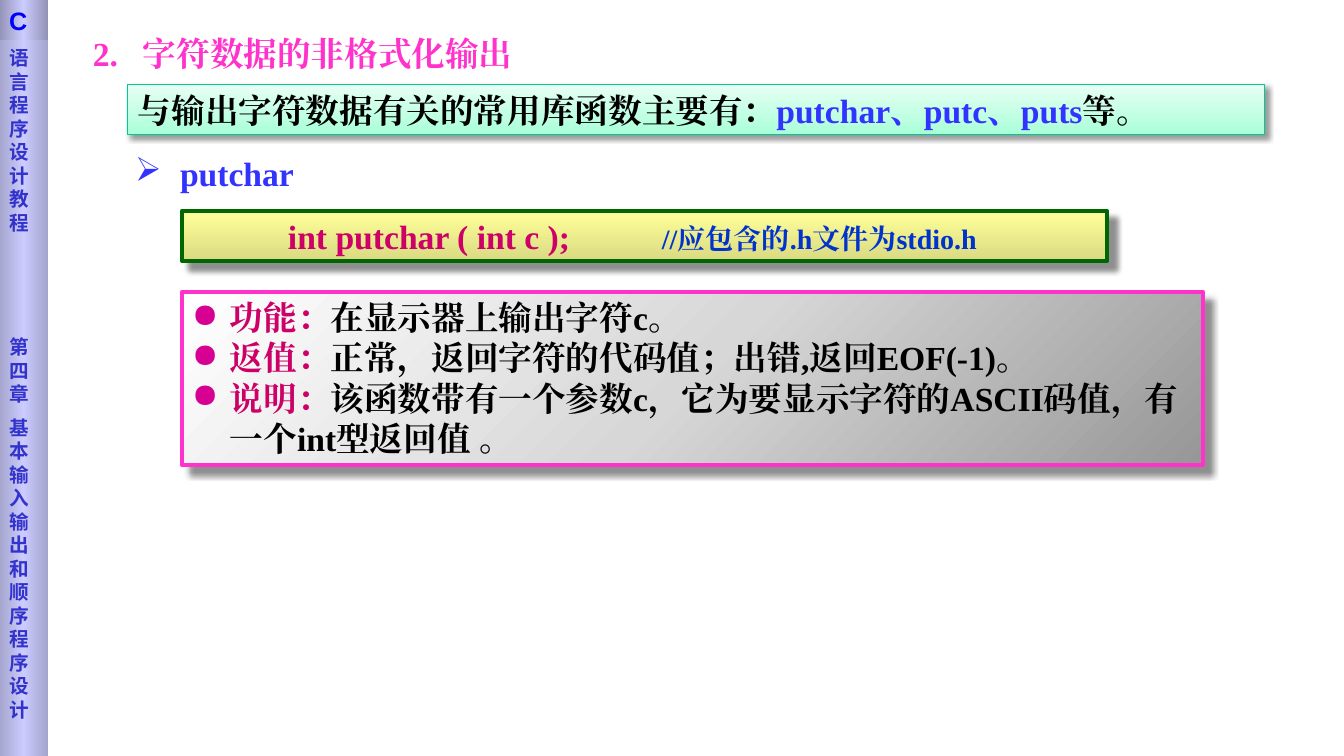
"""Builds the slide on unformatted character output in C."""
import pptx
import pptx.dml.color
import pptx.enum.shapes
import pptx.enum.text
import pptx.oxml.ns
import pptx.util
from lxml import etree

RGB = pptx.dml.color.RGBColor
PINK = RGB(0xFF, 0x33, 0xCC)
CRIMSON = RGB(0xCC, 0x00, 0x66)
MAGENTA = RGB(0xD6, 0x00, 0x93)
BLUE = RGB(0x33, 0x33, 0xFF)
COMMENT_BLUE = RGB(0x00, 0x33, 0xCC)
SIDEBAR_BLUE = RGB(0x33, 0x33, 0xCC)
PURE_BLUE = RGB(0x00, 0x00, 0xFF)
BLACK = RGB(0x00, 0x00, 0x00)
GREEN = RGB(0x00, 0x66, 0x00)
TEAL = RGB(0x00, 0xC8, 0x96)
MINT = [(0, RGB(0xA5, 0xFF, 0xD6)), (35, RGB(0xBF, 0xFF, 0xE2)), (100, RGB(0xE7, 0xFF, 0xF3))]
YELLOW = [(0, RGB(0xFF, 0xFF, 0x99)), (100, RGB(0xDA, 0xDA, 0x83))]
GREY = [(0, RGB(0x97, 0x97, 0x97)), (50, RGB(0xD7, 0xD7, 0xD7)), (100, RGB(0xFF, 0xFF, 0xFF))]
LAVENDER = RGB(0xCC, 0xCC, 0xFF)
SIDEBAR_EDGE = RGB(0xA4, 0xA4, 0xCD)
BADGE_EDGE = RGB(0x92, 0x92, 0xB6)
SIDEBAR_FILL = [(0, SIDEBAR_EDGE), (50, LAVENDER), (100, SIDEBAR_EDGE)]
BADGE_FILL = [(0, BADGE_EDGE), (50, LAVENDER), (100, BADGE_EDGE)]

SERIF = "Times New Roman"
WIDTH, HEIGHT = 1344, 756
PX = 914400 / 100.8
INSET = 10
LINE_RATIO = 1.2

TITLE = [[("2.\t字符数据的非格式化输出", PINK)]]
LIBRARY = [[("与输出字符数据有关的常用库函数主要有：", BLACK),
            ("putchar、putc、puts", BLUE), ("等。", BLACK)]]
FUNCTION_NAME = [[("putchar", BLUE)]]
PROTOTYPE = [[("int putchar ( int c );\t", CRIMSON),
              ("//应包含的.h文件为stdio.h", COMMENT_BLUE, 20)]]
DETAILS = [
    [("功能：", CRIMSON), ("在显示器上输出字符c。", BLACK)],
    [("返值：", CRIMSON), ("正常，返回字符的代码值；出错,返回EOF(-1)。", BLACK)],
    [("说明：", CRIMSON),
     ("该函数带有一个参数c，它为要显示字符的ASCII码值，有一个int型返回值 。", BLACK)],
]
COURSE = [[(part, SIDEBAR_BLUE)]
          for part in ("语言程序设计教程", "第四章", "基本输入输出和顺序程序设计")]
COURSE_GAPS = [0, 72, 7]
BADGE = [[("C", PURE_BLUE)]]


def px(length):
    return round(length * PX)


def add_element(parent, tag, **attributes):
    return etree.SubElement(parent, pptx.oxml.ns.qn(tag),
                            {name: str(value) for name, value in attributes.items()})


def add_panel(slide, box, stops, angle, line=None, shadow=None):
    panel = slide.shapes.add_shape(pptx.enum.shapes.MSO_SHAPE.RECTANGLE, *map(px, box))
    panel.fill.gradient()
    properties = panel._element.spPr
    gradient = properties.find(pptx.oxml.ns.qn("a:gradFill"))
    for child in list(gradient):
        gradient.remove(child)
    stop_list = add_element(gradient, "a:gsLst")
    for position, color in stops:
        stop = add_element(stop_list, "a:gs", pos=position * 1000)
        add_element(stop, "a:srgbClr", val=color)
    add_element(gradient, "a:lin", ang=angle * 60000, scaled=0)
    if line:
        panel.line.color.rgb, panel.line.width = line[0], pptx.util.Pt(line[1])
    else:
        panel.line.fill.background()
    panel.shadow.inherit = False
    if shadow:
        alpha, blur, distance = shadow
        outer = add_element(properties.find(pptx.oxml.ns.qn("a:effectLst")), "a:outerShdw",
                            blurRad=pptx.util.Pt(blur), dist=pptx.util.Pt(distance),
                            dir=45 * 60000, algn="tl", rotWithShape=0)
        shade = add_element(outer, "a:srgbClr", val=BLACK)
        add_element(shade, "a:alpha", val=alpha * 1000)
    return panel


def write(shape, paragraphs, size=24, font=SERIF, left=INSET, top=INSET // 2,
          anchor=pptx.enum.text.MSO_ANCHOR.TOP, bullet=None, bullet_color=BLUE,
          indent=0, tab=None, gaps=None):
    frame = shape.text_frame
    frame.word_wrap = True
    frame.vertical_anchor = anchor
    frame.margin_left, frame.margin_right = px(left), px(INSET)
    frame.margin_top, frame.margin_bottom = px(top), px(INSET // 2)
    for index, parts in enumerate(paragraphs):
        paragraph = frame.add_paragraph() if index else frame.paragraphs[0]
        properties = paragraph._p.get_or_add_pPr()
        if bullet:
            properties.set("marL", str(px(indent)))
            properties.set("indent", str(-px(indent)))
            add_element(add_element(properties, "a:buClr"), "a:srgbClr", val=bullet_color)
            add_element(properties, "a:buChar", char=bullet)
        if tab:
            add_element(add_element(properties, "a:tabLst"), "a:tab", pos=px(tab), algn="l")
        paragraph.alignment = pptx.enum.text.PP_ALIGN.LEFT
        paragraph.line_spacing = pptx.util.Pt(round(size * LINE_RATIO, 1))
        if gaps and gaps[index]:
            paragraph.space_before = pptx.util.Pt(gaps[index])
        for text, color, *own_size in parts:
            run = paragraph.add_run()
            run.text = text
            run.font.size = pptx.util.Pt(own_size[0] if own_size else size)
            run.font.name, run.font.bold = font, True
            run.font.color.rgb = color
            add_element(run._r.get_or_add_rPr(), "a:ea", typeface=font)


def main():
    deck = pptx.Presentation()
    deck.slide_width, deck.slide_height = px(WIDTH), px(HEIGHT)
    slide = deck.slides.add_slide(deck.slide_layouts[6])

    title = slide.shapes.add_textbox(*map(px, (83, 28, 514, 50)))
    write(title, TITLE, tab=50)

    prototype = add_panel(slide, (182, 211, 925, 50), YELLOW, 90, (GREEN, 3), (43, 4, 8.4))
    write(prototype, PROTOTYPE, left=106, tab=374)

    library = add_panel(slide, (128, 85, 1137, 50), MINT, 270, (TEAL, 0.75), (40, 4, 3))
    write(library, LIBRARY, anchor=pptx.enum.text.MSO_ANCHOR.MIDDLE)

    function_name = slide.shapes.add_textbox(*map(px, (125, 148, 530, 50)))
    write(function_name, FUNCTION_NAME, bullet="➢", indent=45)

    details = add_panel(slide, (182, 292, 1021, 173), GREY, 225, (PINK, 3), (43, 4, 8.4))
    write(details, DETAILS, bullet="●", bullet_color=MAGENTA, indent=38)

    sidebar = add_panel(slide, (-1, 0, 49, HEIGHT), SIDEBAR_FILL, 0)
    write(sidebar, COURSE, size=14, font="DejaVu Sans", top=46, gaps=COURSE_GAPS)

    badge = add_panel(slide, (-1, 0, 49, 40), BADGE_FILL, 0)
    write(badge, BADGE, size=18, font="Arial")

    deck.save("out.pptx")


if __name__ == "__main__":
    main()
